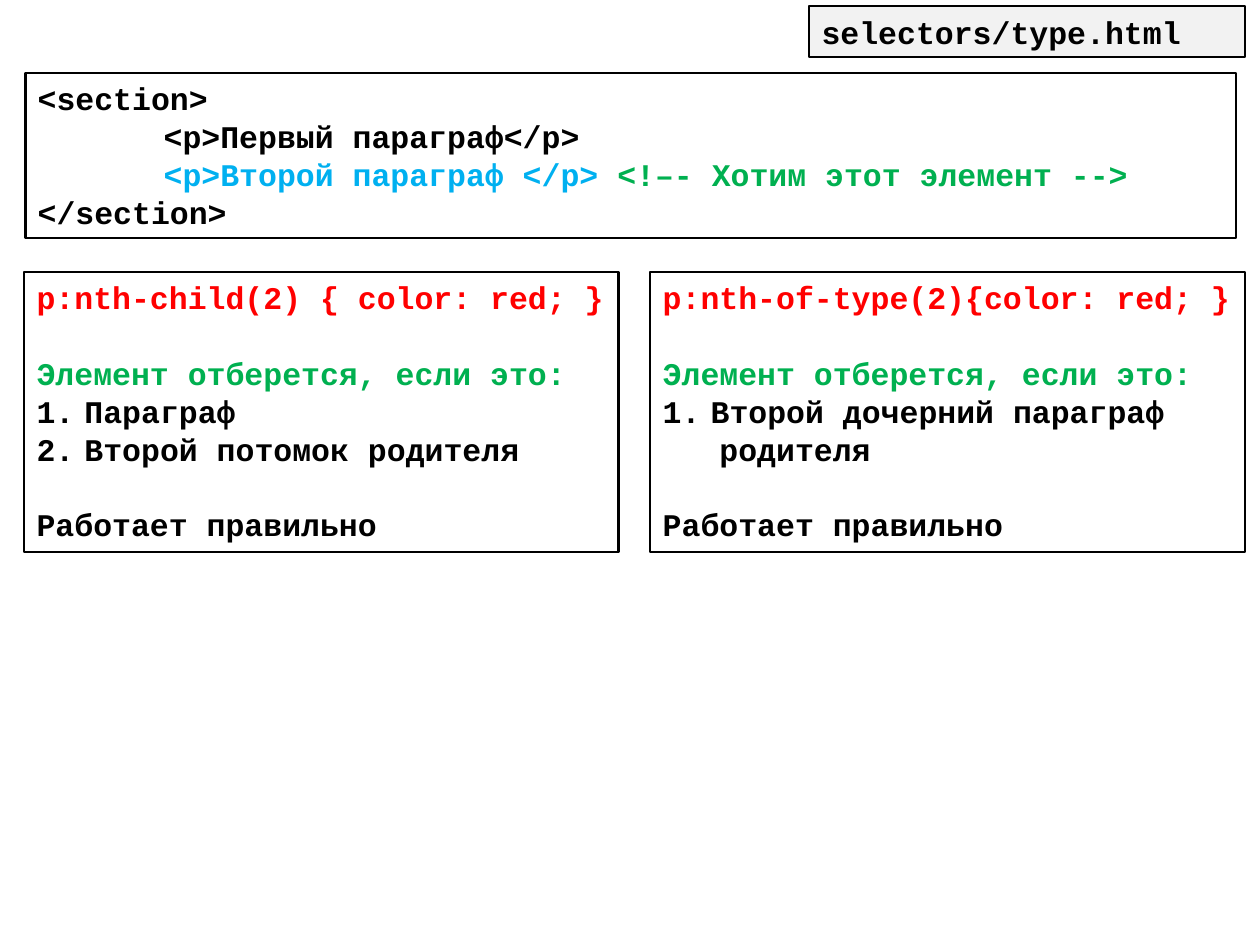
import pptx
import pptx.dml.color
import pptx.enum.text
import pptx.oxml.ns
import pptx.util
from lxml import etree

Inches = pptx.util.Inches
Pt = pptx.util.Pt
RGBColor = pptx.dml.color.RGBColor

BLACK = RGBColor(0x00, 0x00, 0x00)
RED = RGBColor(0xFF, 0x00, 0x00)
GREEN = RGBColor(0x00, 0xB0, 0x50)
BLUE = RGBColor(0x00, 0xB0, 0xF0)
LIGHT_GRAY = RGBColor(0xF2, 0xF2, 0xF2)

LINE_GAP = 21.6
LIST_INDENT = 0.38
CONTINUATION_INDENT = 0.45
TAB_INDENT = 1
PANEL_LEFTS = (0.19, 5.16)


def frame_box(box, left, top, width, height, border=1.5):
    box.left, box.top = Inches(left), Inches(top)
    box.width, box.height = Inches(width), Inches(height)
    box.line.color.rgb = BLACK
    box.line.width = Pt(border)
    text = box.text_frame
    text.word_wrap = True
    text.auto_size = pptx.enum.text.MSO_AUTO_SIZE.NONE
    text.vertical_anchor = pptx.enum.text.MSO_ANCHOR.TOP
    return text


def format_line(line, color=BLACK, indent=0, numbered=False, gap=0):
    line.alignment = pptx.enum.text.PP_ALIGN.LEFT
    line.space_before = Pt(gap)
    properties = line._p.get_or_add_pPr()
    properties.set("marL", str(Inches(indent)))
    properties.set("indent", str(-Inches(indent) if numbered else 0))
    bullet = etree.SubElement(
        properties, pptx.oxml.ns.qn("a:buAutoNum" if numbered else "a:buNone"))
    if numbered:
        bullet.set("type", "arabicPeriod")
    line.font.name = "Courier New"
    line.font.size = Pt(18)
    line.font.bold = True
    line.font.color.rgb = color


def write_lines(text, lines):
    """Each line is its parts, (wording, colour) pairs or plain wording, and its format."""
    for number, (content, style) in enumerate(lines):
        line = text.paragraphs[0] if number == 0 else text.add_paragraph()
        if isinstance(content, str):
            line.add_run().text = content
        else:
            for wording, color in content:
                part = line.add_run()
                part.text = wording
                part.font.color.rgb = color
        format_line(line, **style)


def add_file_name(slide):
    title = slide.shapes.title
    title.fill.solid()
    title.fill.fore_color.rgb = LIGHT_GRAY
    text = frame_box(title, 6.42, 0.05, 3.46, 0.4, border=1)
    write_lines(text, [("selectors/type.html", {})])


def add_markup(slide):
    markup = slide.shapes.add_textbox(0, 0, 0, 0)
    write_lines(frame_box(markup, 0.2, 0.58, 9.61, 1.31), [
        ("<section>", {}),
        ("<p>Первый параграф</p>", {"indent": TAB_INDENT}),
        ([("<p>Второй параграф </p> ", BLUE),
          ("<!–- Хотим этот элемент -->", GREEN)], {"indent": TAB_INDENT}),
        ("</section>", {}),
    ])


def add_selector_panel(panel, left, selector, conditions):
    write_lines(frame_box(panel, left, 2.16, 4.72, 2.22), [
        (selector, {"color": RED}),
        ("Элемент отберется, если это:", {"color": GREEN, "gap": LINE_GAP}),
        *conditions,
        ("Работает правильно", {"gap": LINE_GAP}),
    ])


def main():
    presentation = pptx.Presentation()
    presentation.slide_width = Inches(10)
    presentation.slide_height = Inches(7.5)
    two_content = presentation.slide_layouts[3]
    slide = presentation.slides.add_slide(two_content)

    numbered = {"indent": LIST_INDENT, "numbered": True}
    selectors = [
        ("p:nth-child(2) { color: red; }",
         [("Параграф", numbered), ("Второй потомок родителя", numbered)]),
        ("p:nth-of-type(2){color: red; }",
         [("Второй дочерний параграф", numbered),
          ("родителя", {"indent": CONTINUATION_INDENT})]),
    ]
    add_markup(slide)
    for index, (left, selector) in enumerate(zip(PANEL_LEFTS, selectors), start=1):
        add_selector_panel(slide.placeholders[index], left, *selector)
    add_file_name(slide)
    presentation.save("out.pptx")


if __name__ == "__main__":
    main()
